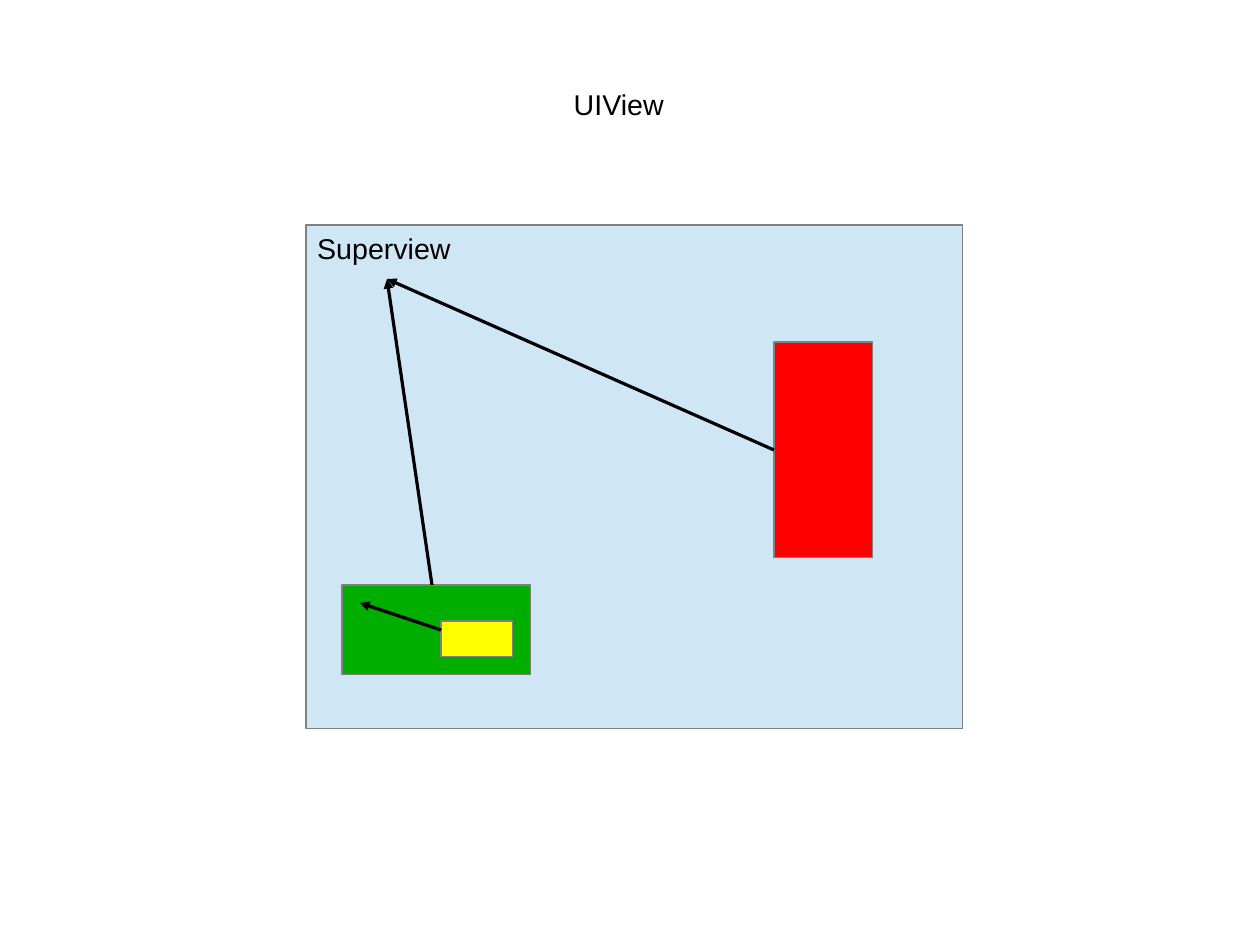
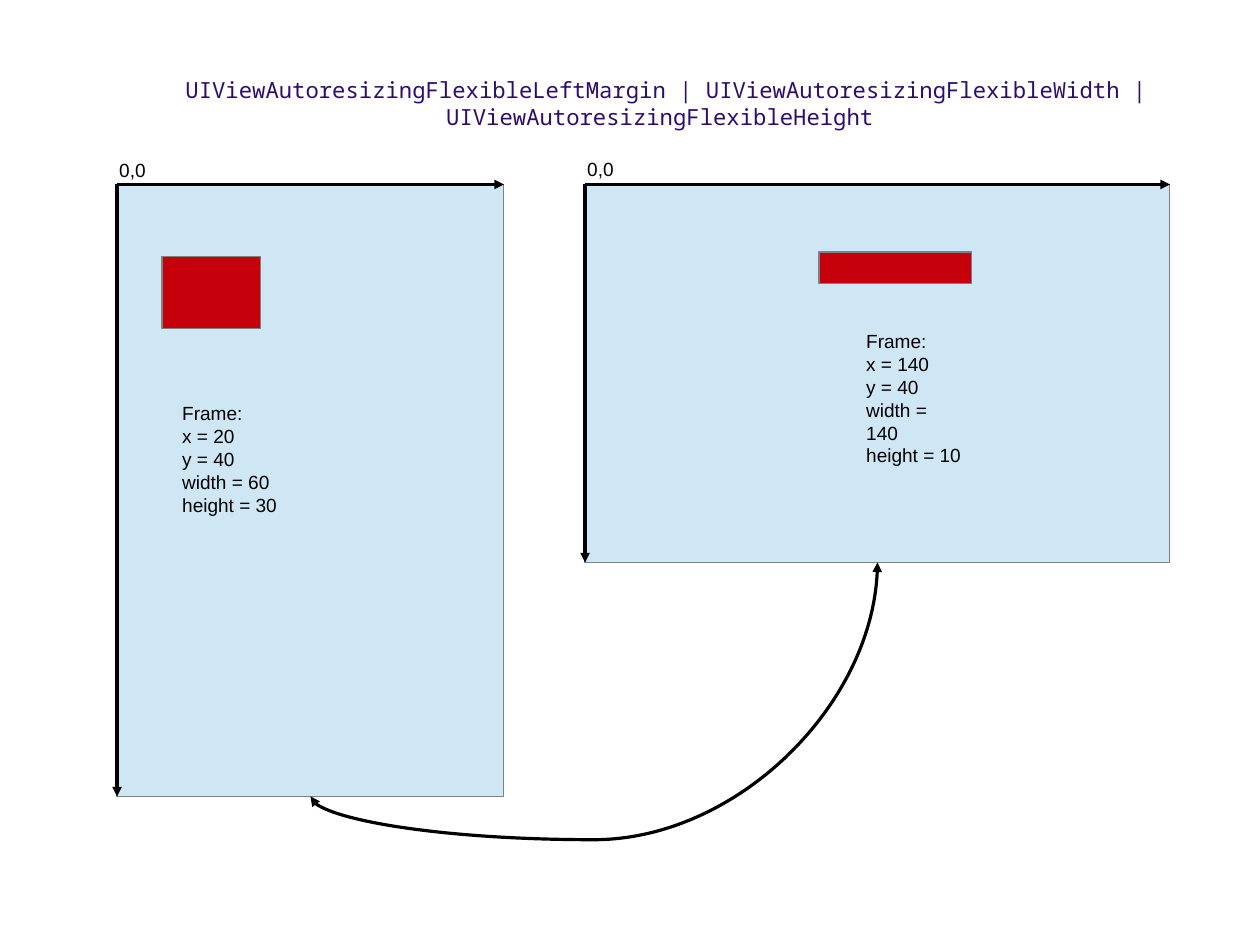
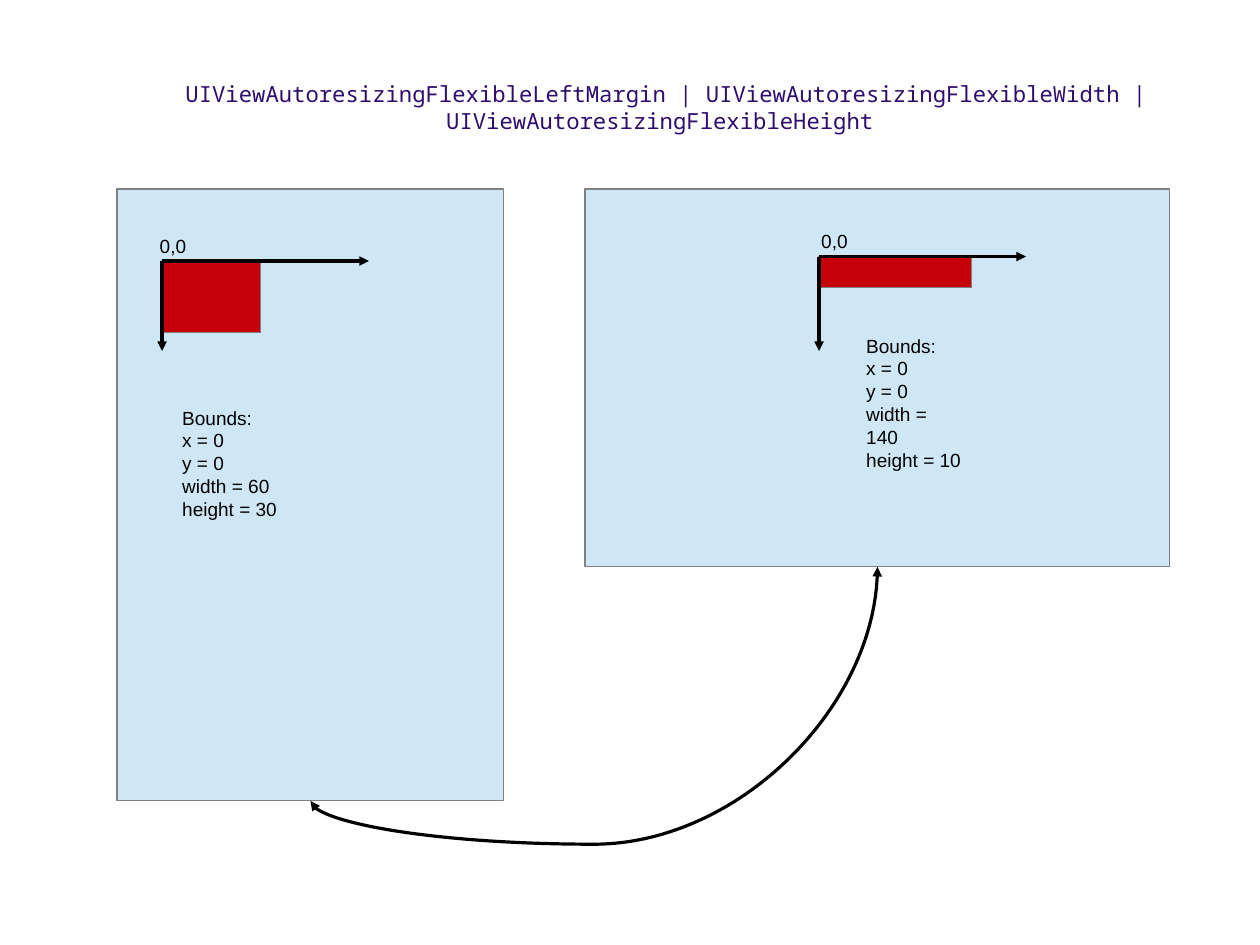
"""Build three slides on view hierarchies, frames and bounds."""
from typing import NamedTuple

from lxml.etree import SubElement
from pptx import Presentation
from pptx.dml.color import RGBColor
from pptx.enum.shapes import MSO_CONNECTOR as Line, MSO_SHAPE as Preset
from pptx.enum.text import MSO_ANCHOR as Anchor, MSO_AUTO_SIZE as AutoSize, PP_ALIGN as Align
from pptx.oxml.ns import qn
from pptx.shapes.autoshape import Shape
from pptx.shapes.connector import Connector
from pptx.slide import Slide
from pptx.util import Cm, Pt

COLORS = {
    "panel": "CFE7F5",
    "outline": "808080",
    "ink": "000000",
    "code": "2E0D6E",
    "crimson": "C5000B",
    "red": "FF0000",
    "green": "00AE00",
    "yellow": "FFFF00",
}
BODY_FONT = "Arial"
CODE_FONT = "Noto Sans Mono"
RESIZING_MASK = (
    "UIViewAutoresizingFlexibleLeftMargin | UIViewAutoresizingFlexibleWidth | "
    "UIViewAutoresizingFlexibleHeight "
)
CURVE_BEND = -18500


class Box(NamedTuple):
    left: float
    top: float
    width: float
    height: float


class Axes(NamedTuple):
    left: float
    top: float
    right: float
    bottom: float
    label_left: float
    label_top: float


class Screen(NamedTuple):
    panel: Box
    view: Box
    note: Box
    values: tuple[int, int, int, int]
    axes: Axes


class Comparison(NamedTuple):
    heading: str
    title_top: float
    screens: tuple[Screen, Screen]


COMPARISONS = (
    Comparison("Frame:", 1.57, (
        Screen(Box(2.6, 4.1, 8.6, 13.6), Box(3.6, 5.7, 2.2, 1.6), Box(3.8, 8.8, 2.62, 2.62),
               (20, 40, 60, 30), Axes(2.6, 4.1, 11.2, 17.7, 2.4, 3.4)),
        Screen(Box(13, 4.1, 13, 8.4), Box(18.2, 5.6, 3.4, 0.7), Box(19, 7.2, 2.67, 2.62),
               (140, 40, 140, 10), Axes(13, 4.1, 26, 12.5, 12.8, 3.38)),
    )),
    Comparison("Bounds:", 1.67, (
        Screen(Box(2.6, 4.2, 8.6, 13.6), Box(3.6, 5.8, 2.2, 1.6), Box(3.8, 8.9, 2.62, 2.62),
               (0, 0, 60, 30), Axes(3.6, 5.8, 8.2, 7.8, 3.3, 5.08)),
        Screen(Box(13, 4.2, 13, 8.4), Box(18.2, 5.7, 3.4, 0.7), Box(19, 7.3, 2.67, 2.62),
               (0, 0, 140, 10), Axes(18.2, 5.7, 22.8, 7.8, 18, 4.98)),
    )),
)


def rgb(color: str) -> RGBColor:
    return RGBColor.from_string(COLORS[color])


def write(shape: Shape, text: str, *, size: float = 12, font: str = BODY_FONT,
          color: str = "ink", align: Align = Align.LEFT) -> None:
    frame = shape.text_frame
    frame.text = text
    frame.vertical_anchor = Anchor.TOP
    for paragraph in frame.paragraphs:
        paragraph.alignment = align
        for run in paragraph.runs:
            run.font.size = Pt(size)
            run.font.name = font
            run.font.color.rgb = rgb(color)


def add_text(slide: Slide, box: Box, text: str, *, wrap: bool = False, **style) -> None:
    shape = slide.shapes.add_textbox(*map(Cm, box))
    write(shape, text, **style)
    shape.text_frame.word_wrap = wrap
    shape.text_frame.auto_size = AutoSize.SHAPE_TO_FIT_TEXT


def add_rectangle(slide: Slide, box: Box, fill: str) -> Shape:
    shape = slide.shapes.add_shape(Preset.RECTANGLE, *map(Cm, box))
    shape.shadow.inherit = False
    shape.fill.solid()
    shape.fill.fore_color.rgb = rgb(fill)
    shape.line.color.rgb = rgb("outline")
    shape.line.width = Pt(0)
    return shape


def style_connector(connector: Connector, *ends: str) -> None:
    connector.line.color.rgb = rgb("ink")
    connector.line.width = Pt(0)
    outline = connector.line._get_or_add_ln()
    for end in ends:
        SubElement(outline, qn(f"a:{end}"), type="triangle")
    SubElement(connector._element.spPr, qn("a:effectLst"))


def add_arrow(slide: Slide, start: tuple[float, float], end: tuple[float, float]) -> Connector:
    connector = slide.shapes.add_connector(Line.STRAIGHT, *map(Cm, (*start, *end)))
    style_connector(connector, "tailEnd")
    return connector


def add_curve(slide: Slide, first: Shape, second: Shape) -> None:
    connector = slide.shapes.add_connector(Line.CURVE, 0, 0, 0, 0)
    connector.begin_connect(first, 2)
    connector.end_connect(second, 2)
    across, down = connector.width, connector.height
    connector.left += (across - down) // 2
    connector.top += (down - across) // 2
    connector.width, connector.height = down, across
    properties = connector._element.spPr
    transform = properties.find(qn("a:xfrm"))
    for name, value in (("rot", "5400000"), ("flipH", "1"), ("flipV", "1")):
        transform.set(name, value)
    geometry = properties.find(qn("a:prstGeom"))
    adjustments = geometry.find(qn("a:avLst"))
    if adjustments is None:
        adjustments = SubElement(geometry, qn("a:avLst"))
    SubElement(adjustments, qn("a:gd"), name="adj1", fmla=f"val {CURVE_BEND}")
    style_connector(connector, "headEnd", "tailEnd")


def add_axes(slide: Slide, axes: Axes) -> None:
    origin = (axes.left, axes.top)
    add_arrow(slide, origin, (axes.right, axes.top))
    add_arrow(slide, origin, (axes.left, axes.bottom))
    add_text(slide, Box(axes.label_left, axes.label_top, 1.09, 0.74), "0,0")


def build_hierarchy(slide: Slide) -> None:
    superview = add_rectangle(slide, Box(6.8, 5, 14.6, 11.2), "panel")
    write(superview, "Superview", size=18)
    add_text(slide, Box(12.5, 1.8, 2.51, 0.97), "UIView", size=18)
    add_rectangle(slide, Box(7.6, 13, 4.2, 2), "green")
    red_view = add_rectangle(slide, Box(17.2, 7.6, 2.2, 4.8), "red")
    add_arrow(slide, (9.6, 13), (8.6, 6.2))
    add_arrow(slide, (17.2, 10), (8.6, 6.2)).begin_connect(red_view, 1)
    add_rectangle(slide, Box(9.8, 13.8, 1.6, 0.8), "yellow")
    add_arrow(slide, (9.8, 14), (8, 13.4))


def build_comparison(slide: Slide, comparison: Comparison) -> None:
    panels = [add_rectangle(slide, screen.panel, "panel") for screen in comparison.screens]
    add_curve(slide, *panels)
    add_text(slide, Box(1.8, comparison.title_top, 26.04, 1.4), RESIZING_MASK, wrap=True,
             size=14, font=CODE_FONT, color="code", align=Align.CENTER)
    for screen in comparison.screens:
        add_rectangle(slide, screen.view, "crimson")
        values = zip(("x", "y", "width", "height"), screen.values)
        lines = [comparison.heading, *(f"{name} = {value}" for name, value in values)]
        add_text(slide, screen.note, "\n".join(lines))
        add_axes(slide, screen.axes)


def main() -> None:
    presentation = Presentation()
    presentation.slide_width, presentation.slide_height = Cm(28), Cm(21)
    blank = presentation.slide_layouts[6]
    build_hierarchy(presentation.slides.add_slide(blank))
    for comparison in COMPARISONS:
        build_comparison(presentation.slides.add_slide(blank), comparison)
    presentation.save("out.pptx")


if __name__ == "__main__":
    main()
